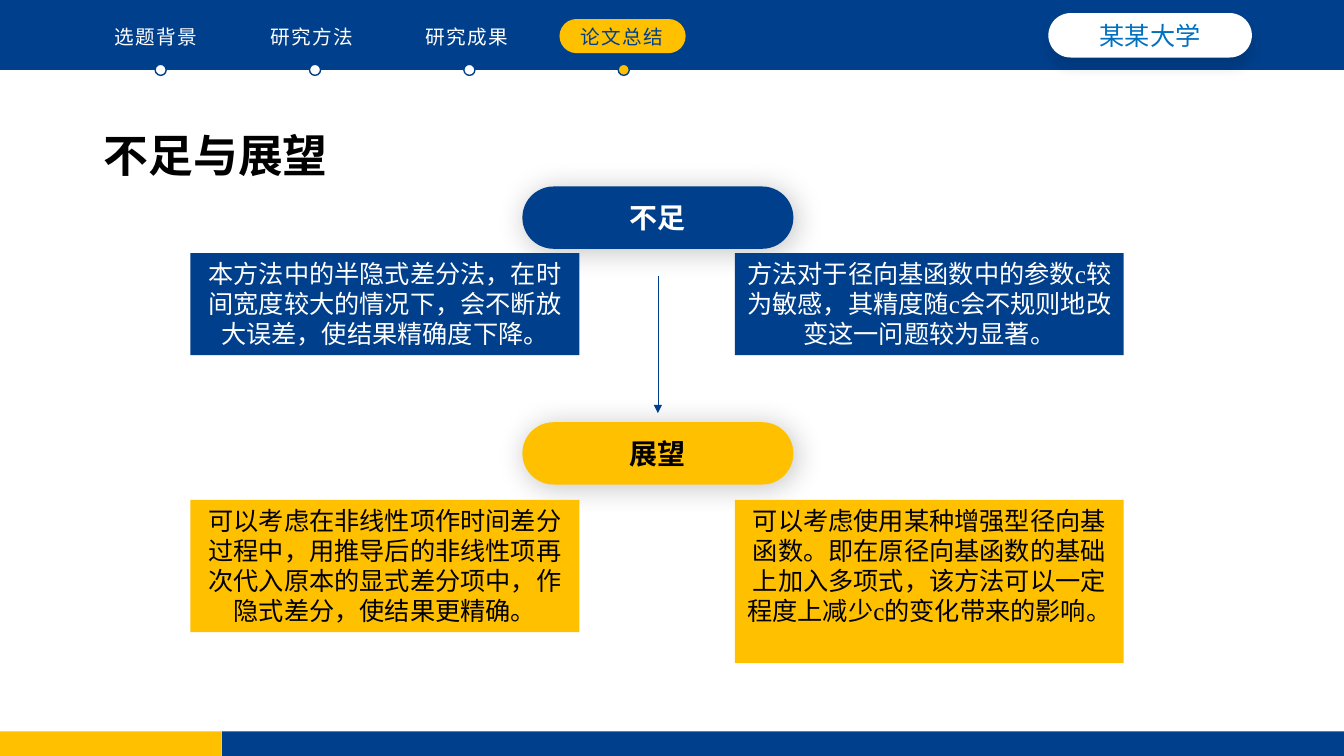
import pptx
import pptx.util
import pptx.dml.color
import pptx.enum.shapes
import pptx.enum.text
import pptx.oxml
import pptx.oxml.ns

Cm = pptx.util.Cm
Pt = pptx.util.Pt
SHAPE = pptx.enum.shapes.MSO_SHAPE
ALIGN = pptx.enum.text.PP_ALIGN
ANCHOR = pptx.enum.text.MSO_ANCHOR

COLORS = {"blue": "003F8B", "gold": "FFC000", "white": "FFFFFF", "black": "000000", "sky": "0070C0"}
SANS, HEAVY, SERIF = "Noto Sans CJK SC", "Noto Sans CJK JP", "Times New Roman"

TITLE = "不足与展望"
SCHOOL = "某某大学"
SECTIONS = ["选题背景", "研究方法", "研究成果", "论文总结"]
CURRENT = 3
GROUPS = [
    {
        "name": "不足", "fill": "blue", "ink": "white", "capsule_top": 4.7, "box_top": 6.38,
        "notes": [
            ("本方法中的半隐式差分法，在时间宽度较大的情况下，会不断放大误差，使结果精确度下降。", 2.57),
            ("方法对于径向基函数中的参数c较为敏感，其精度随c会不规则地改变这一问题较为显著。", 2.57),
        ],
    },
    {
        "name": "展望", "fill": "gold", "ink": "black", "capsule_top": 10.64, "box_top": 12.6,
        "notes": [
            ("可以考虑在非线性项作时间差分过程中，用推导后的非线性项再次代入原本的显式差分项中，作隐式差分，使结果更精确。", 3.33),
            ("可以考虑使用某种增强型径向基函数。即在原径向基函数的基础上加入多项式，该方法可以一定程度上减少c的变化带来的影响。", 4.11),
        ],
    },
]

WIDTH, HEIGHT = 33.87, 19.05
HEADER_HEIGHT = 1.76
FOOTER_TOP, FOOTER_SPLIT = 18.43, 5.59
LABEL_LEFT, LABEL_TOP, LABEL_PITCH, LABEL_WIDTH, LABEL_HEIGHT = 2.16, 0.5, 3.91, 3.56, 0.86
DOT_LEFT, DOT_PITCH, DOT_SIZE = 3.91, 3.89, 0.28
CENTER, CAPSULE_WIDTH, CAPSULE_HEIGHT = 16.58, 6.83, 1.57
BOX_LEFTS, BOX_WIDTH = (4.8, 18.52), 9.8
ARROW_TOP, ARROW_BOTTOM = 6.96, 10.41


def rgb(color):
    return pptx.dml.color.RGBColor.from_string(COLORS[color])


def add_xml(parent, tag, body="", attributes=""):
    namespace = pptx.oxml.ns.nsdecls("a")
    parent.append(pptx.oxml.parse_xml(f"<a:{tag} {namespace} {attributes}>{body}</a:{tag}>"))


def write(shape, text, size, color, font=SANS, bold=False, align=ALIGN.CENTER, anchor=ANCHOR.MIDDLE, spacing=0):
    frame = shape.text_frame
    frame.text = text
    frame.word_wrap = True
    frame.auto_size = pptx.enum.text.MSO_AUTO_SIZE.NONE
    frame.vertical_anchor = anchor
    para = frame.paragraphs[0]
    para.alignment = align
    span = para.runs[0]
    span.font.size = Pt(size)
    span.font.bold = bold
    span.font.name = font
    span.font.color.rgb = rgb(color)
    properties = span.font._element
    add_xml(properties, "ea", attributes=f'typeface="{SANS if font == SERIF else font}"')
    if spacing:
        properties.set("spc", str(spacing * 100))


def add_block(slide, kind, left, top, width, height, fill, line=None):
    block = slide.shapes.add_shape(kind, Cm(left), Cm(top), Cm(width), Cm(height))
    block.shadow.inherit = False
    block.fill.solid()
    block.fill.fore_color.rgb = rgb(fill)
    if line:
        block.line.color.rgb = rgb(line)
        block.line.width = Pt(1)
    else:
        block.line.fill.background()
    return block


def add_pill(slide, left, top, width, height, fill, shadow=None):
    pill = add_block(slide, SHAPE.ROUNDED_RECTANGLE, left, top, width, height, fill)
    pill.adjustments[0] = 0.5
    if shadow:
        opacity, blur, distance, angle = shadow
        effects = pill._element.spPr.find(pptx.oxml.ns.qn("a:effectLst"))
        add_xml(
            effects, "outerShdw",
            f'<a:srgbClr val="{COLORS["black"]}"><a:alpha val="{opacity * 1000}"/></a:srgbClr>',
            f'blurRad="{Pt(blur)}" dist="{Pt(distance)}" dir="{angle * 60000}" algn="ctr" rotWithShape="0"',
        )
    return pill


def add_frame(slide):
    add_block(slide, SHAPE.RECTANGLE, 0, 0, WIDTH, HEADER_HEIGHT, "blue")
    footer_height = HEIGHT - FOOTER_TOP
    add_block(slide, SHAPE.RECTANGLE, FOOTER_SPLIT, FOOTER_TOP, WIDTH - FOOTER_SPLIT, footer_height, "blue")
    add_block(slide, SHAPE.RECTANGLE, 0, FOOTER_TOP, FOOTER_SPLIT, footer_height, "gold")
    school = add_pill(slide, 26.42, 0.33, 5.13, 1.12, "white", (11, 8, 8, 90))
    write(school, SCHOOL, 18, "sky")


def add_navigation(slide):
    add_pill(slide, 14.1, 0.48, 3.18, LABEL_HEIGHT, "gold")
    for index, section in enumerate(SECTIONS):
        active = index == CURRENT
        add_block(slide, SHAPE.OVAL, DOT_LEFT + index * DOT_PITCH, HEADER_HEIGHT - DOT_SIZE / 2,
                  DOT_SIZE, DOT_SIZE, "gold" if active else "white", "blue")
        label = slide.shapes.add_textbox(Cm(LABEL_LEFT + index * LABEL_PITCH), Cm(LABEL_TOP),
                                         Cm(LABEL_WIDTH), Cm(LABEL_HEIGHT))
        write(label, section, 14, "blue" if active else "white", spacing=1)


def add_title(slide):
    title = slide.shapes.title
    title.left, title.top, title.width, title.height = Cm(2.36), Cm(3.07), Cm(7.19), Cm(1.63)
    write(title, TITLE, 32, "black", bold=True, align=ALIGN.LEFT)


def add_group(slide, group):
    capsule = add_pill(slide, CENTER - CAPSULE_WIDTH / 2, group["capsule_top"], CAPSULE_WIDTH,
                       CAPSULE_HEIGHT, group["fill"], (24, 21, 3, 45))
    write(capsule, group["name"], 20, group["ink"], HEAVY, bold=True)
    for left, (note, height) in zip(BOX_LEFTS, group["notes"]):
        box = add_block(slide, SHAPE.RECTANGLE, left, group["box_top"], BOX_WIDTH, height, group["fill"])
        write(box, note, 18, group["ink"], SERIF, anchor=ANCHOR.TOP)


def add_arrow(slide):
    arrow = slide.shapes.add_connector(pptx.enum.shapes.MSO_CONNECTOR.STRAIGHT,
                                       Cm(CENTER), Cm(ARROW_TOP), Cm(CENTER), Cm(ARROW_BOTTOM))
    arrow.line.color.rgb = rgb("blue")
    arrow.line.width = Pt(0.5)
    add_xml(arrow.line._get_or_add_ln(), "tailEnd", attributes='type="triangle"')
    add_xml(arrow._element.spPr, "effectLst")


def main():
    deck = pptx.Presentation()
    deck.slide_width, deck.slide_height = Cm(WIDTH), Cm(HEIGHT)
    page = deck.slides.add_slide(deck.slide_layouts[5])
    add_frame(page)
    add_navigation(page)
    add_title(page)
    for group in GROUPS:
        add_group(page, group)
    add_arrow(page)
    deck.save("out.pptx")


if __name__ == "__main__":
    main()
